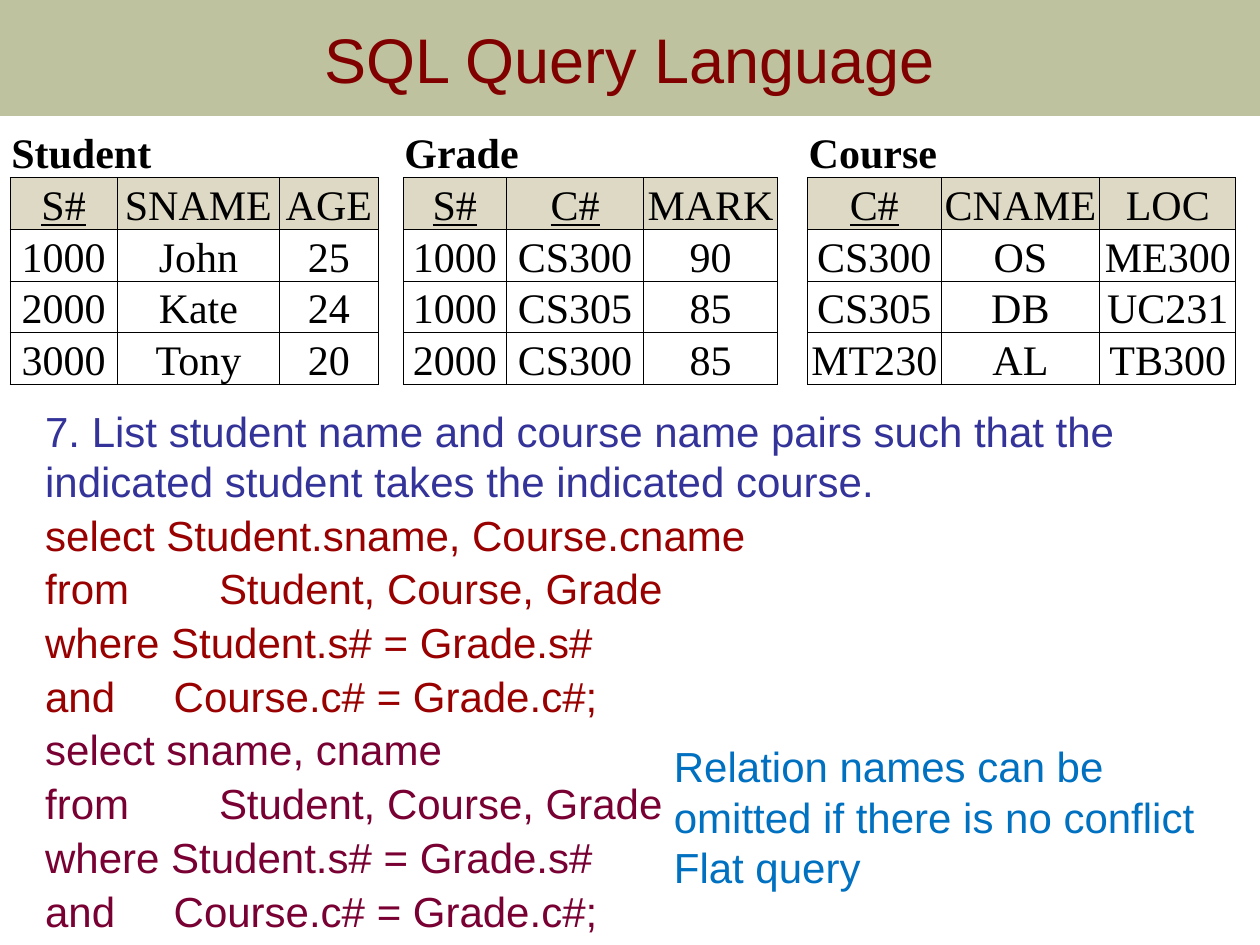
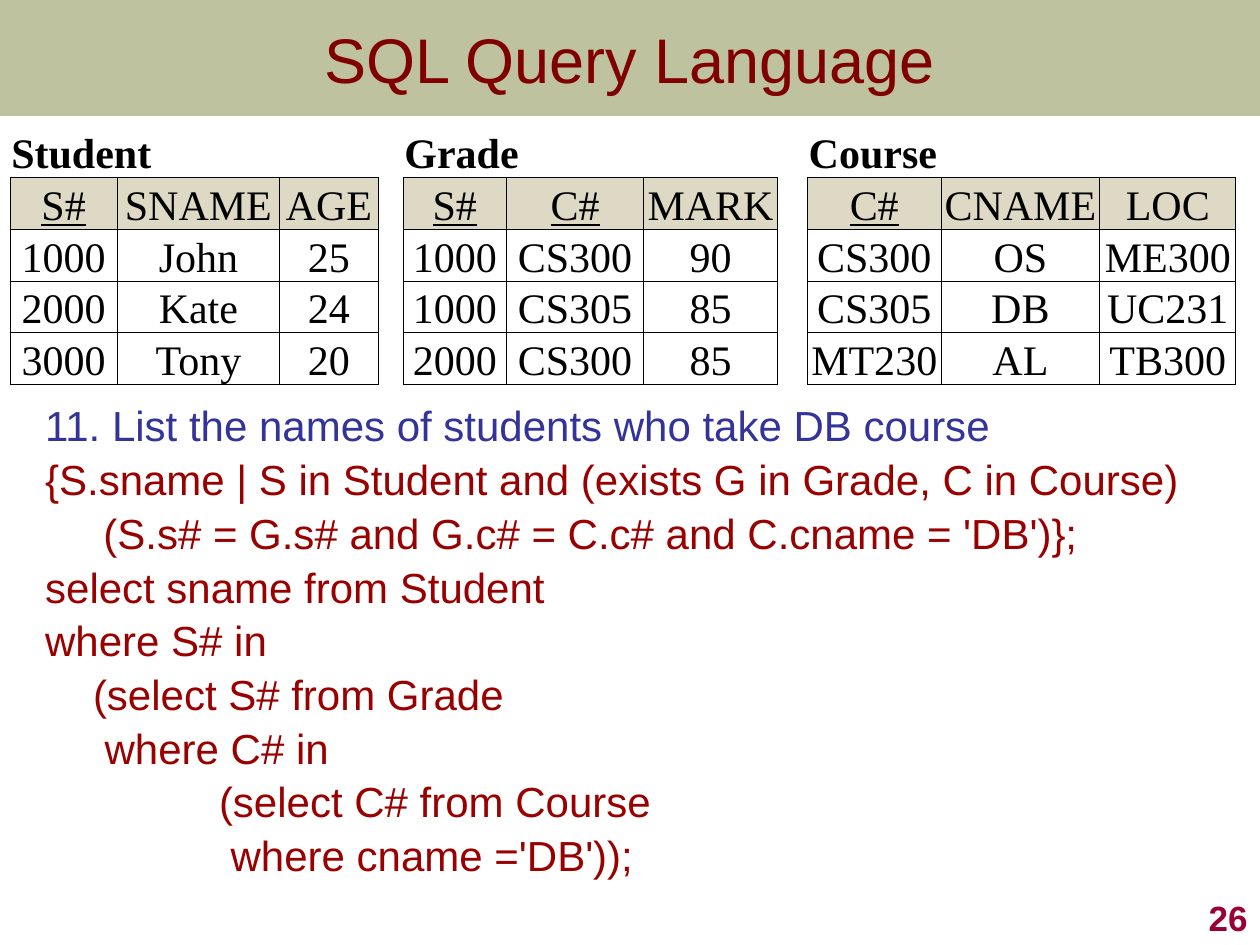
from dataclasses import dataclass
from typing import Optional

from lxml.etree import SubElement
from pptx import Presentation
from pptx.dml.color import RGBColor
from pptx.enum.shapes import MSO_SHAPE as Shape
from pptx.enum.text import MSO_ANCHOR as Anchor, PP_ALIGN as Align
from pptx.oxml.ns import qn
from pptx.slide import Slide
from pptx.table import _Cell as Cell
from pptx.text.text import Font, TextFrame, _Paragraph as Paragraph
from pptx.util import Inches, Pt


@dataclass(frozen=True)
class Theme:
    sans: str = "Arial"
    serif: str = "Times New Roman"
    band: str = "6E7524"
    band_opacity: int = 44
    title: str = "800000"
    question: str = "333399"
    query: str = "990000"
    short_query: str = "790033"
    remark: str = "0070C0"
    page: str = "990033"
    ink: str = "000000"
    paper: str = "FFFFFF"
    header: str = "DDD9C4"
    title_size: float = 36
    text_size: float = 24
    page_size: float = 20
    line_gap: float = 4.8
    rule_width: float = 0.5


THEME = Theme()


@dataclass(frozen=True)
class Box:
    left: float
    top: float
    width: float
    height: float

    def lengths(self) -> list[Inches]:
        return [Inches(v) for v in (self.left, self.top, self.width, self.height)]


@dataclass(frozen=True)
class Line:
    text: str
    color: str
    tabs: tuple[float, ...] = ()
    spacing: float = 0.9


@dataclass(frozen=True)
class Relation:
    name: str
    keys: tuple[str, ...]
    widths: tuple[float, ...]
    rows: tuple[tuple[str, ...], ...]


@dataclass(frozen=True)
class QueryPage:
    lines: tuple[Line, ...]
    remark: tuple[str, ...] = ()
    number: Optional[str] = None


BAND = Box(0, 0, 10, 0.92)
BODY = Box(0.26, 3.17, 9.49, 4.27)
REMARK = Box(5.25, 5.83, 4.58, 1.27)
NUMBER = Box(7.92, 7, 2.08, 0.5)
TABLE_LEFT, TABLE_TOP, ROW_HEIGHT = 0.08, 1, 0.38
GAPS = (0.2, 0.24)

# Tab stops that line up the clauses of a query
FROM_TABS = (1.38,)
AND_TABS = (1.02,)
NESTED_TABS = (0.38, 1.38)

RELATIONS = (
    Relation("Student", ("S#",), (0.85, 1.29, 0.78), (
        ("S#", "SNAME", "AGE"),
        ("1000", "John", "25"),
        ("2000", "Kate", "24"),
        ("3000", "Tony", "20"))),
    Relation("Grade", ("S#", "C#"), (0.82, 1.09, 1.06), (
        ("S#", "C#", "MARK"),
        ("1000", "CS300", "90"),
        ("1000", "CS305", "85"),
        ("2000", "CS300", "85"))),
    Relation("Course", ("C#",), (1.06, 1.26, 1.08), (
        ("C#", "CNAME", "LOC"),
        ("CS300", "OS", "ME300"),
        ("CS305", "DB", "UC231"),
        ("MT230", "AL", "TB300"))),
)


def join_query(select: str, color: str) -> tuple[Line, ...]:
    """The join of all three relations, with a given select clause."""
    return (
        Line(select, color),
        Line("from\tStudent, Course, Grade", color, FROM_TABS),
        Line("where Student.s# = Grade.s#", color),
        Line("and\tCourse.c# = Grade.c#;", color, AND_TABS),
    )


PAGES = (
    QueryPage(
        lines=(
            Line("7. List student name and course name pairs such that the "
                 "indicated student takes the indicated course.",
                 THEME.question, spacing=1.0),
            *join_query("select Student.sname, Course.cname", THEME.query),
            *join_query("select sname, cname", THEME.short_query),
        ),
        remark=("Relation names can be omitted if there is no conflict",
                "Flat query"),
    ),
    QueryPage(
        lines=(
            Line("11. List the names of students who take DB course", THEME.question),
            *(Line(code, THEME.query, NESTED_TABS) for code in (
                "{S.sname | S in Student and (exists G in Grade, C in Course)",
                "     (S.s# = G.s# and G.c# = C.c# and C.cname = 'DB')};",
                "select sname from Student",
                "where S# in",
                "\t(select S# from Grade",
                "\t where C# in",
                "\t\t(select C# from Course",
                "\t\t where cname ='DB'));")),
        ),
        number="26",
    ),
)


# Text helpers
def style(font: Font, size: float, color: str, face: str = THEME.sans,
          bold: bool = False) -> None:
    font.name, font.size, font.bold = face, Pt(size), bold
    font.color.rgb = RGBColor.from_string(color)


def add_text_box(slide: Slide, box: Box) -> TextFrame:
    frame = slide.shapes.add_textbox(*box.lengths()).text_frame
    frame.word_wrap = True
    return frame


def paragraph_at(frame: TextFrame, index: int) -> Paragraph:
    return frame.paragraphs[0] if index == 0 else frame.add_paragraph()


def set_tabs(paragraph: Paragraph, stops: tuple[float, ...]) -> None:
    if stops:
        tab_list = SubElement(paragraph._p.get_or_add_pPr(), qn("a:tabLst"))
        for stop in stops:
            SubElement(tab_list, qn("a:tab"), pos=str(Inches(stop)), algn="l")


# Parts of a page
def add_title(slide: Slide, title: str) -> None:
    band = slide.shapes.add_shape(Shape.RECTANGLE, *BAND.lengths())
    band.shadow.inherit = False
    band.line.fill.background()
    band.fill.solid()
    band.fill.fore_color.rgb = RGBColor.from_string(THEME.band)
    tint = band._element.spPr.find(f"{qn('a:solidFill')}/{qn('a:srgbClr')}")
    SubElement(tint, qn("a:alpha"), val=str(THEME.band_opacity * 1000))
    band.text_frame.text = title
    band.text_frame.vertical_anchor = Anchor.MIDDLE
    heading = band.text_frame.paragraphs[0]
    heading.alignment = Align.CENTER
    style(heading.runs[0].font, THEME.title_size, THEME.title)


def add_body(slide: Slide, lines: tuple[Line, ...]) -> None:
    frame = add_text_box(slide, BODY)
    frame.margin_right = 0
    for index, line in enumerate(lines):
        paragraph = paragraph_at(frame, index)
        paragraph.text = line.text
        paragraph.line_spacing = line.spacing
        if index:
            paragraph.space_before = Pt(THEME.line_gap)
        set_tabs(paragraph, line.tabs)
        for run in paragraph.runs:
            style(run.font, THEME.text_size, line.color)


def add_remark(slide: Slide, remark: tuple[str, ...]) -> None:
    frame = add_text_box(slide, REMARK)
    for index, sentence in enumerate(remark):
        paragraph = paragraph_at(frame, index)
        paragraph.text = sentence
        style(paragraph.runs[0].font, THEME.text_size, THEME.remark)


def add_number(slide: Slide, number: str) -> None:
    frame = add_text_box(slide, NUMBER)
    frame.vertical_anchor = Anchor.BOTTOM
    frame.text = number
    frame.paragraphs[0].alignment = Align.RIGHT
    style(frame.paragraphs[0].runs[0].font, THEME.page_size, THEME.page, bold=True)


# Tables of the three relations
def format_cell(cell: Cell, edges: str, fill: str) -> None:
    """Rule the named edges (L, R, T, B), clear the others and fill the cell."""
    cell.margin_left = cell.margin_right = cell.margin_top = Inches(0.01)
    cell.margin_bottom = 0
    cell.vertical_anchor = Anchor.BOTTOM
    properties = cell._tc.get_or_add_tcPr()
    for edge in "LRTB":
        rule = SubElement(properties, qn(f"a:ln{edge}"), w=str(Pt(THEME.rule_width)))
        if edge in edges:
            SubElement(SubElement(rule, qn("a:solidFill")), qn("a:srgbClr"), val=THEME.ink)
        else:
            SubElement(rule, qn("a:noFill"))
    cell.fill.solid()
    cell.fill.fore_color.rgb = RGBColor.from_string(fill)


def write_cell(cell: Cell, text: str, align: Align, bold: bool = False,
               underline: bool = False) -> None:
    cell.text = text
    paragraph = cell.text_frame.paragraphs[0]
    paragraph.alignment = align
    font = paragraph.runs[0].font
    style(font, THEME.text_size, THEME.ink, THEME.serif, bold)
    font.underline = underline


def add_relations(slide: Slide) -> None:
    widths = list(RELATIONS[0].widths)
    starts = [0]
    for gap, relation in zip(GAPS, RELATIONS[1:]):
        starts.append(len(widths) + 1)
        widths += [gap, *relation.widths]
    row_count = len(RELATIONS[0].rows) + 1
    area = Box(TABLE_LEFT, TABLE_TOP, sum(widths), row_count * ROW_HEIGHT)
    table = slide.shapes.add_table(row_count, len(widths), *area.lengths()).table
    table.first_row = table.horz_banding = False
    for column, width in zip(table.columns, widths):
        column.width = Inches(width)
    for row in table.rows:
        row.height = Inches(ROW_HEIGHT)

    # Gap columns
    for start in starts[1:]:
        for row in range(row_count):
            gap_cell = table.cell(row, start - 1)
            format_cell(gap_cell, "LR" if row else "", THEME.paper)
            gap_cell.text_frame.paragraphs[0].font.size = Pt(THEME.page_size)

    # Names, headers and values
    for start, relation in zip(starts, RELATIONS):
        for offset in range(len(relation.widths)):
            format_cell(table.cell(0, start + offset), "B", THEME.paper)
        name_cell = table.cell(0, start)
        name_cell.merge(table.cell(0, start + len(relation.widths) - 1))
        write_cell(name_cell, relation.name, Align.LEFT, bold=True)
        for row, values in enumerate(relation.rows, start=1):
            for column, value in enumerate(values, start=start):
                cell = table.cell(row, column)
                format_cell(cell, "LRTB", THEME.header if row == 1 else THEME.paper)
                write_cell(cell, value, Align.CENTER,
                           underline=row == 1 and value in relation.keys)


def main() -> None:
    deck = Presentation()
    deck.slide_width, deck.slide_height = Inches(10), Inches(7.5)
    for page in PAGES:
        slide = deck.slides.add_slide(deck.slide_layouts[6])
        add_body(slide, page.lines)
        add_title(slide, "SQL Query Language")
        if page.remark:
            add_remark(slide, page.remark)
        if page.number:
            add_number(slide, page.number)
        add_relations(slide)
    deck.save("out.pptx")


if __name__ == "__main__":
    main()
